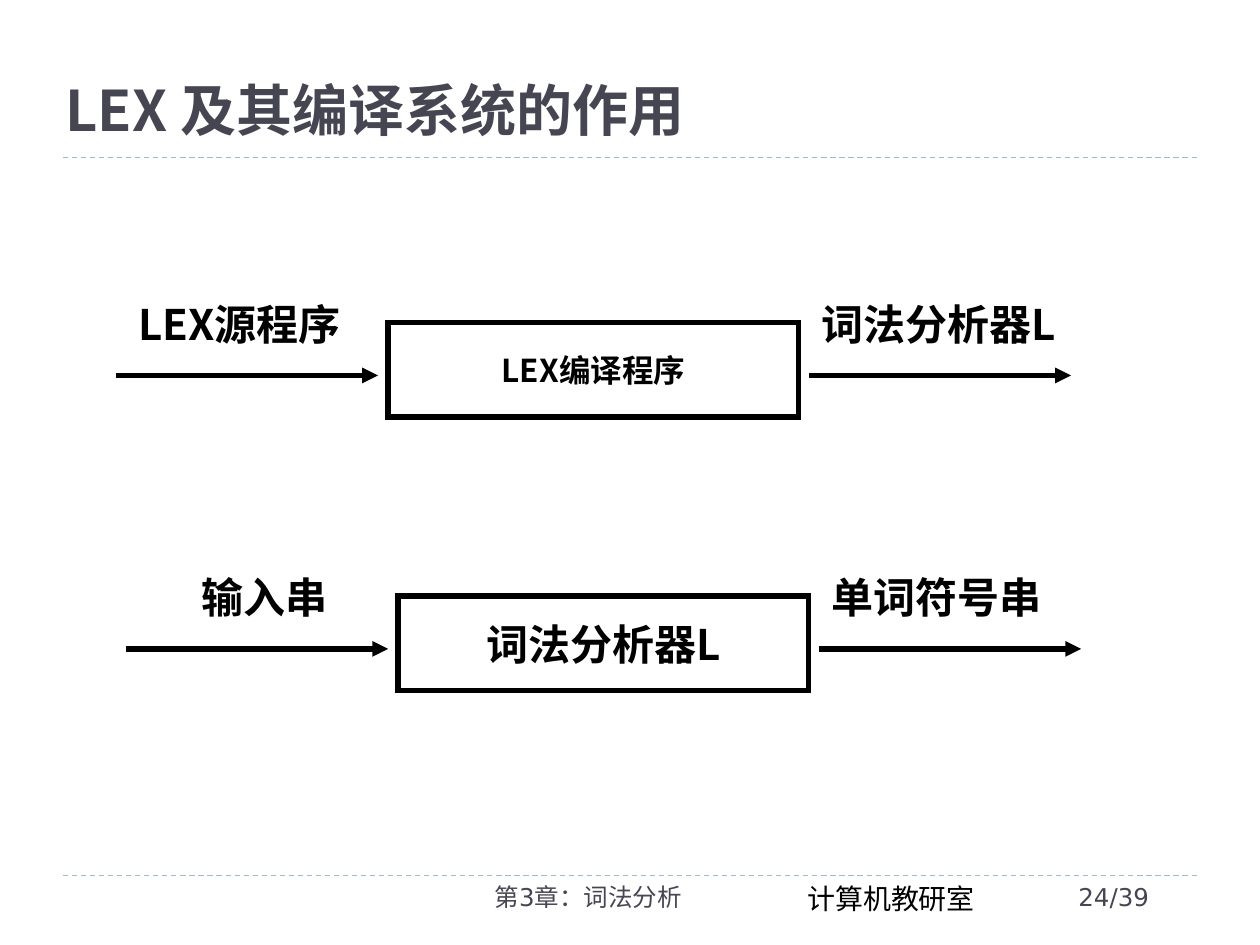
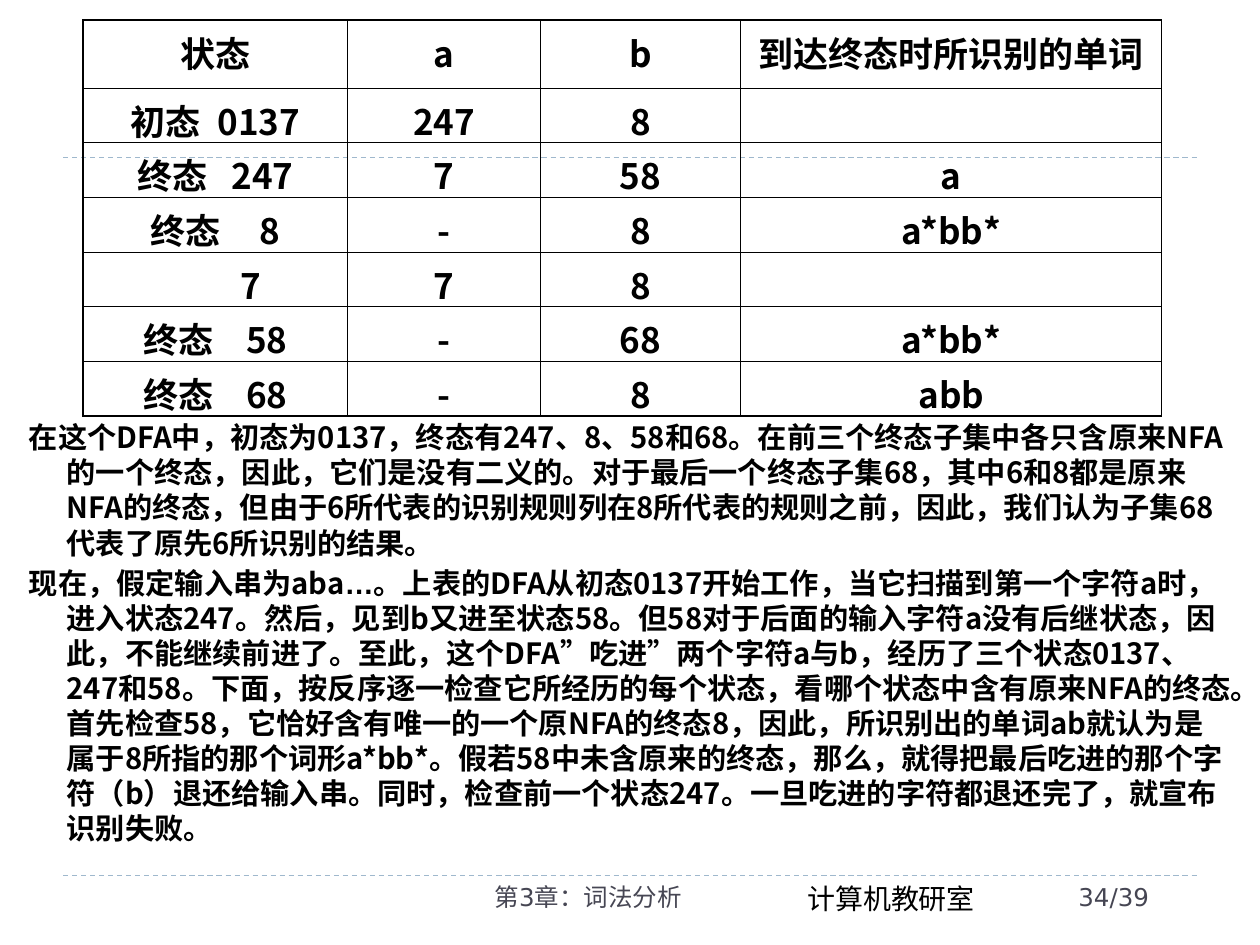
from dataclasses import dataclass

from lxml import etree
from pptx import Presentation
from pptx.dml.color import RGBColor
from pptx.enum.dml import MSO_LINE
from pptx.enum.shapes import MSO_CONNECTOR, MSO_SHAPE
from pptx.enum.text import MSO_ANCHOR, MSO_AUTO_SIZE, PP_ALIGN
from pptx.oxml.ns import qn
from pptx.util import Pt

LEFT, CENTER = PP_ALIGN.LEFT, PP_ALIGN.CENTER
MIDDLE, BOTTOM = MSO_ANCHOR.MIDDLE, MSO_ANCHOR.BOTTOM
DASH, STRAIGHT, RECT = MSO_LINE.DASH, MSO_CONNECTOR.STRAIGHT, MSO_SHAPE.RECTANGLE
NO_FIT = MSO_AUTO_SIZE.NONE
PX = 9144  # 100 px to the inch


@dataclass(frozen=True)
class Theme:
    ink: str = "000000"
    slate: str = "464653"
    rule: str = "9FB8CD"
    cjk: str = "Noto Sans CJK SC"
    foot: str = "DejaVu Sans"
    dept: str = "Times New Roman"
    mark: str = "Arial"
    title_pt: float = 32
    label_pt: float = 24
    cell_pt: float = 20
    box_pt: float = 18
    body_pt: float = 16.7
    dept_pt: float = 16
    foot_pt: float = 14


T = Theme()


def write(para, text, size, font=T.cjk, color=T.ink, bold=True):
    """Add one run, with the same East Asian face throughout."""
    run = para.add_run()
    run.text = text
    run.font.size, run.font.bold, run.font.name = Pt(size), bold, font
    run.font.color.rgb = RGBColor.from_string(color)
    props = run.font._element
    etree.SubElement(props, qn("a:ea"), typeface=T.cjk)
    return props


def stroke(slide, x1, x2, y, color, width):
    """Draw a level line without a shadow."""
    line = slide.shapes.add_connector(STRAIGHT, x1 * PX, y * PX, x2 * PX, y * PX)
    line.line.color.rgb = RGBColor.from_string(color)
    line.line.width = Pt(width)
    etree.SubElement(line._element.spPr, qn("a:effectLst"))
    return line


deck = Presentation()
deck.slide_width, deck.slide_height = 1000 * PX, 750 * PX
flow = deck.slides.add_slide(deck.slide_layouts[5])
states = deck.slides.add_slide(deck.slide_layouts[1])

# Shared rules and footers
for slide, page in ((flow, "24/39"), (states, "34/39")):
    for y in (695, 125):
        stroke(slide, 50, 950, y, T.rule, 0.75).line.dash_style = DASH
    for x, w, text, size, font, color, align in (
        (631, 166, "计算机教研室", T.dept_pt, T.dept, T.ink, LEFT),
        (317, 300, "第3章：词法分析", T.foot_pt, T.foot, T.slate, CENTER),
        (846, 115, page, T.foot_pt, T.foot, T.slate, LEFT),
    ):
        frame = slide.shapes.add_textbox(x * PX, 695 * PX, w * PX, 40 * PX).text_frame
        frame.word_wrap = True
        frame.paragraphs[0].alignment = align
        write(frame.paragraphs[0], text, size, font, color, False)

# Slide 1: title
title = flow.shapes.title
title.left, title.top, title.width, title.height = 42 * PX, 24 * PX, 933 * PX, 94 * PX
title.text_frame.vertical_anchor = BOTTOM
title.text_frame.auto_size = NO_FIT
title.text_frame.paragraphs[0].alignment = LEFT
write(title.text_frame.paragraphs[0], "LEX 及其编译系统的作用", T.title_pt, color=T.slate)

# Slide 1: input, processor and output in each row
for x, y, source, indent, tool, size, result in (
    (92, 298, "LEX源程序", 8, "LEX编译程序", T.box_pt, "词法分析器L"),
    (100, 515, "输入串", 50, "词法分析器L", T.label_pt, "单词符号串"),
):
    for start in (x, x + 550):
        arrow = stroke(flow, start, start + 208, y, T.ink, 3)
        etree.SubElement(arrow.line._get_or_add_ln(), qn("a:tailEnd"), type="triangle")

    box = flow.shapes.add_shape(RECT, (x + 216) * PX, (y - 42) * PX, 326 * PX, 75 * PX)
    box.shadow.inherit = False
    box.fill.background()
    box.line.color.rgb = RGBColor.from_string(T.ink)
    box.line.width = Pt(3)
    etree.SubElement(box.line._get_or_add_ln(), qn("a:miter"), lim="800000")
    box.text_frame.word_wrap = False
    box.text_frame.vertical_anchor = MIDDLE
    box.text_frame.paragraphs[0].alignment = CENTER
    write(box.text_frame.paragraphs[0], tool, size)

    for start, w, text in ((x + indent, 192, source), (x + 550, 233, result)):
        label = flow.shapes.add_textbox(start * PX, (y - 66) * PX, w * PX, 50 * PX)
        label.text_frame.word_wrap = True
        write(label.text_frame.paragraphs[0], text, T.label_pt)

# Slide 2: explanation, as (text, font) runs
notes = (
    (("在这个DFA中，初态为0137，终态有247、8、58和68。在前三个终态子集中各只含原来NFA的一个终态，"
      "因此，它们是没有二义的。对于最后一个终态子集68，其中6和8都是原来NFA的终态，"
      "但由于6所代表的识别规则列在8所代表的规则之前，因此，我们认为子集68代表了原先6所识别的结果。", T.cjk),),
    (("现在，假定输入串为aba", T.cjk), ("…", T.mark),
     ("。上表的DFA从初态0137开始工作，当它扫描到第一个字符a时，进入状态247。然后，见到b又进至状态58。"
      "但58对于后面的输入字符a没有后继状态，因此，不能继续前进了。至此，这个DFA", T.cjk),
     ("”", T.mark), ("吃进", T.cjk), ("”", T.mark),
     ("两个字符a与b，经历了三个状态0137、247和58。下面，按反序逐一检查它所经历的每个状态，"
      "看哪个状态中含有原来NFA的终态。首先检查58，它恰好含有唯一的一个原NFA的终态8，因此，"
      "所识别出的单词ab就认为是属于8所指的那个词形a*bb*。假若58中未含原来的终态，那么，"
      "就得把最后吃进的那个字符（b）退还给输入串。同时，检查前一个状态247。"
      "一旦吃进的字符都退还完了，就宣布识别失败。", T.cjk)),
)
head = states.shapes.title._element
head.getparent().remove(head)
body = states.placeholders[1]
body.left, body.top, body.width, body.height = 13 * PX, 328 * PX, 975 * PX, 367 * PX
body.text_frame.auto_size = NO_FIT
for i, note in enumerate(notes):
    para = body.text_frame.add_paragraph() if i else body.text_frame.paragraphs[0]
    para.space_before = Pt(3)
    props = para._p.get_or_add_pPr()
    props.set("marL", str(30 * PX))
    props.set("indent", str(-30 * PX))
    etree.SubElement(props, qn("a:buNone"))
    for text, font in note:
        write(para, text, T.body_pt, font)

# Slide 2: state table; each state is (kind, gap in points, number)
rows = (
    (("状态", 0, ""), "a", "b", "到达终态时所识别的单词"),
    (("初态", 5, "0137"), "247", "8", ""),
    (("终态", 9, "247"), "7", "58", "a"),
    (("终态", 18, "8"), "-", "8", "a*bb*"),
    (("", 0, "7"), "7", "8", ""),
    (("终态", 14, "58"), "-", "68", "a*bb*"),
    (("终态", 14, "68"), "-", "8", "abb"),
)
widths = (210, 153, 159, 334)
last_row, last_col = len(rows) - 1, len(widths) - 1
grid = states.shapes.add_table(
    len(rows), len(widths), 66 * PX, 16 * PX, sum(widths) * PX, 312 * PX).table
for col, w in zip(grid.columns, widths):
    col.width = w * PX
for r, row in enumerate(rows):
    grid.rows[r].height = (43 if r else 54) * PX
    for c, item in enumerate(row):
        cell = grid.cell(r, c)
        para = cell.text_frame.paragraphs[0]
        para.alignment = CENTER
        if c:
            if item:
                write(para, item, T.cell_pt)
        else:
            kind, gap, number = item
            if kind:
                write(para, kind, T.cell_pt)
            else:
                para._p.get_or_add_pPr().set("marL", str(56 * PX))
            if gap:
                write(para, " ", T.cell_pt).set("spc", str(gap * 100))
            if number:
                write(para, number, T.cell_pt)

        # Thick outer edge, thin inner edges
        props = cell._tc.get_or_add_tcPr()
        for tag, outer in (("lnL", c == 0), ("lnR", c == last_col),
                           ("lnT", r == 0), ("lnB", r == last_row)):
            edge = etree.SubElement(props, qn("a:" + tag), w=str(Pt(1.08 if outer else 0.45)))
            fill = etree.SubElement(edge, qn("a:solidFill"))
            etree.SubElement(fill, qn("a:srgbClr"), val=T.ink)
        cell.fill.background()

deck.save("out.pptx")
